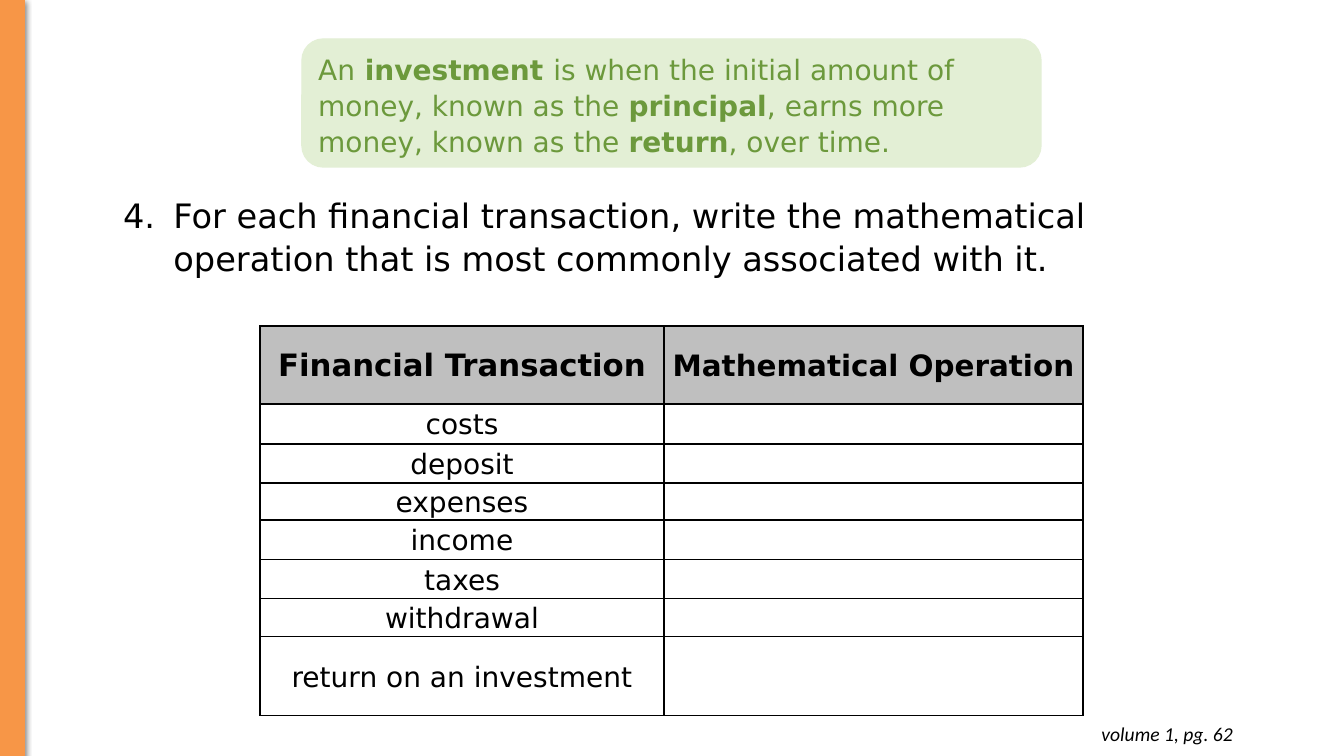
from lxml import etree
from pptx import Presentation
from pptx.dml.color import RGBColor
from pptx.enum.shapes import MSO_SHAPE as Shape
from pptx.enum.text import MSO_ANCHOR as Anchor, MSO_AUTO_SIZE as AutoSize, PP_ALIGN as Align
from pptx.oxml import parse_xml
from pptx.oxml.ns import nsdecls, qn
from pptx.util import Pt

PX = 12192000 / 1344
COLORS = {"black": "000000", "orange": "F79647", "pale_green": "E3EFD5",
          "green": "6C993C", "gray": "BFBFBF"}
SANS = "DejaVu Sans"


def px(*lengths):
    return [round(length * PX) for length in lengths]


def add_run(paragraph, text, size, color="black", bold=False, italic=False, font=SANS):
    run = paragraph.add_run()
    run.text = text
    run.font.name = font
    run.font.size = Pt(size)
    run.font.bold = bold
    run.font.italic = italic
    run.font.color.rgb = RGBColor.from_string(COLORS[color])


presentation = Presentation()
presentation.slide_width, presentation.slide_height = px(1344, 756)
slide = presentation.slides.add_slide(presentation.slide_layouts[1])
shapes = slide.shapes
title = shapes.title
title.element.getparent().remove(title.element)

# Numbered question
question = slide.placeholders[1]
question.left, question.top, question.width, question.height = px(113, 187, 1143, 98)
frame = question.text_frame
frame.auto_size = AutoSize.NONE
frame.word_wrap = True
frame.vertical_anchor = Anchor.TOP
paragraph = frame.paragraphs[0]
paragraph.line_spacing = 1.07
paragraph.space_before = Pt(0)
properties = paragraph._p.get_or_add_pPr()
properties.set("marL", "457200")
properties.set("indent", "-457200")
bullet_color = etree.SubElement(properties, qn("a:buClr"))
etree.SubElement(bullet_color, qn("a:srgbClr"), val=COLORS["black"])
etree.SubElement(properties, qn("a:buFont"), typeface="+mj-lt")
etree.SubElement(properties, qn("a:buAutoNum"), type="arabicPeriod", startAt="4")
add_run(paragraph, "For each financial transaction, write the mathematical operation "
        "that is most commonly associated with it.", 24)

# Side bar and definition panel
panels = [(Shape.RECTANGLE, (0, 0, 25, 757), "orange", 0.75),
          (Shape.ROUNDED_RECTANGLE, (302, 39, 739, 128), "pale_green", 1)]
for kind, box, color, line_width in panels:
    panel = shapes.add_shape(kind, *px(*box))
    panel.shadow.inherit = False
    panel.fill.solid()
    panel.fill.fore_color.rgb = RGBColor.from_string(COLORS[color])
    panel.line.color.rgb = RGBColor.from_string(COLORS[color])
    panel.line.width = Pt(line_width)
    if kind == Shape.RECTANGLE:
        effects = panel._element.spPr.find(qn("a:effectLst"))
        effects.append(parse_xml(
            f'<a:outerShdw {nsdecls("a")} blurRad="57150" dist="19050" dir="5400000" '
            f'algn="ctr" rotWithShape="0"><a:srgbClr val="{COLORS["black"]}">'
            '<a:alpha val="50000"/></a:srgbClr></a:outerShdw>'))
    else:
        panel.adjustments[0] = 0.167
        frame = panel.text_frame
        frame.word_wrap = True
        frame.vertical_anchor = Anchor.TOP
        paragraph = frame.paragraphs[0]
        paragraph.alignment = Align.LEFT
        paragraph.line_spacing = 1.07
        definition = ["An", " investment ",
                      "is when the initial amount of money, known as the ", "principal",
                      ", earns more money, known as the ", "return", ", over time."]
        for index, text in enumerate(definition):
            add_run(paragraph, text, 20, "green", bold=index % 2 == 1)

# Table of transactions
rows = [("Financial Transaction", "Mathematical Operation"), ("costs", ""), ("deposit", ""),
        ("expenses", ""), ("income", ""), ("taxes", ""), ("withdrawal", ""),
        ("return on an investment", "")]
row_heights = px(78, 40, 39, 37, 40, 39, 38, 79)
column_widths = px(404, 419)
graphic = shapes.add_table(len(rows), 2, *px(260, 326, 823, 390))
table = graphic.table
table.horz_banding = False
for column, width in zip(table.columns, column_widths):
    column.width = width
for row_index, (row, height) in enumerate(zip(rows, row_heights)):
    table.rows[row_index].height = height
    for column_index, text in enumerate(row):
        cell = table.cell(row_index, column_index)
        cell.margin_left, cell.margin_right, cell.margin_top, cell.margin_bottom = px(7, 7, 0, 0)
        cell.vertical_anchor = Anchor.MIDDLE
        for side in ("lnL", "lnR", "lnT", "lnB"):
            cell._tc.get_or_add_tcPr().append(parse_xml(
                f'<a:{side} {nsdecls("a")} w="12700"><a:solidFill>'
                f'<a:srgbClr val="{COLORS["black"]}"/></a:solidFill></a:{side}>'))
        if row_index == 0:
            cell.fill.solid()
            cell.fill.fore_color.rgb = RGBColor.from_string(COLORS["gray"])
            size = (22, 21)[column_index]
        else:
            cell.fill.background()
            size = 20
        if text:
            paragraph = cell.text_frame.paragraphs[0]
            paragraph.alignment = Align.CENTER
            paragraph.line_spacing = 1.07
            paragraph.space_after = Pt(8)
            add_run(paragraph, text, size, bold=row_index == 0)

# Page reference
reference = shapes.add_textbox(*px(953, 712, 290, 44))
frame = reference.text_frame
frame.word_wrap = True
frame.margin_top, frame.margin_bottom = px(10, 10)
paragraph = frame.paragraphs[0]
paragraph.alignment = Align.RIGHT
add_run(paragraph, "volume 1, pg. 62", 14, italic=True, font="Calibri")

presentation.save("out.pptx")
